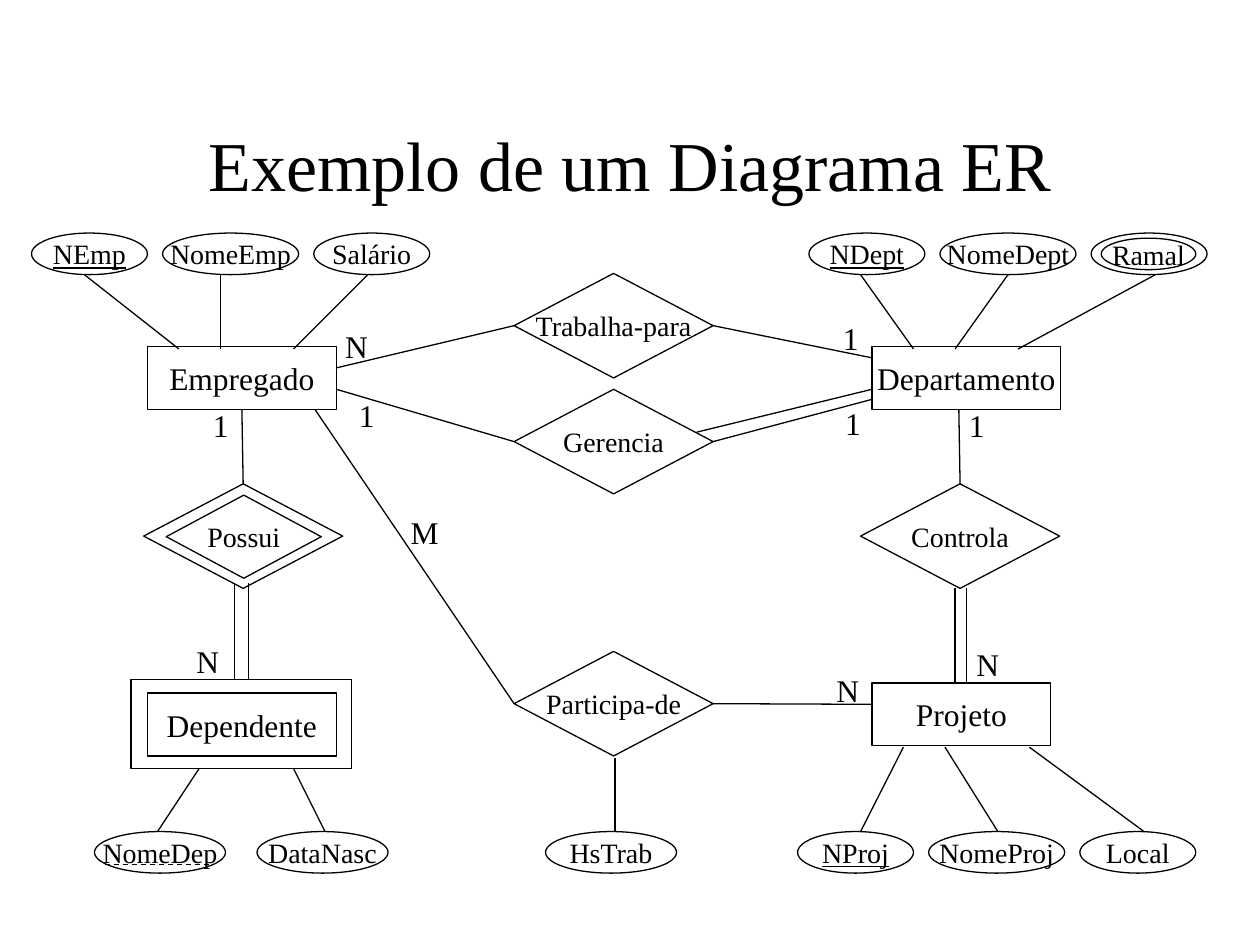
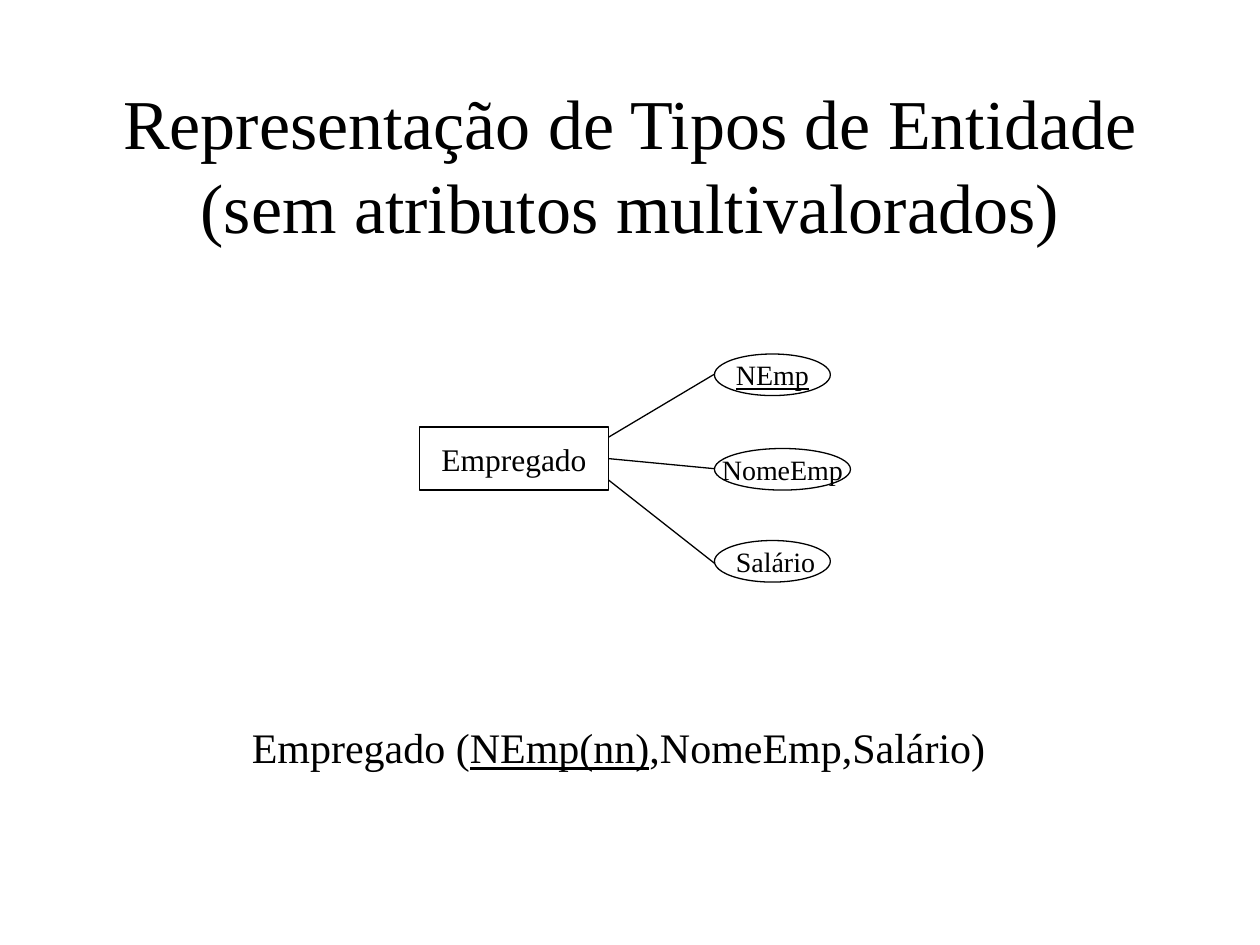
from dataclasses import dataclass

from lxml.etree import SubElement
from pptx import Presentation
from pptx.dml.color import RGBColor
from pptx.enum.dml import MSO_LINE
from pptx.enum.shapes import MSO_CONNECTOR, MSO_SHAPE
from pptx.enum.text import MSO_ANCHOR, MSO_AUTO_SIZE, PP_ALIGN
from pptx.oxml.ns import qn
from pptx.util import Inches, Pt


@dataclass(frozen=True)
class Theme:
    font: str = "Times New Roman"
    ink: RGBColor = RGBColor(0x00, 0x00, 0x00)
    paper: RGBColor = RGBColor(0xFF, 0xFF, 0xFF)
    title: int = 40
    formula: int = 24
    entity: int = 18
    detail: int = 16
    line: float = 0.75


THEME = Theme()
TITLE_BOX = (0.75, 0.67, 8.5, 1.25)
ENTITY_SIZE = (1.5, 0.5)
DIAMOND_SIZE = (1.58, 0.83)
OVAL_HEIGHT = 0.33
SHORT, MEDIUM, LONG = 0.92, 1.04, 1.08
TOP, LEFT, BOTTOM, RIGHT = range(4)

DIAGRAM_TITLE = "Exemplo de um Diagrama ER"
MAPPING_TITLE = "Representação de Tipos de Entidade (sem atributos multivalorados)"

WEAK_ENTITY_FRAME = (1.04, 5.39, 1.75, 0.71)
ENTITIES = [
    ("Empregado", 1.17, 2.75, 1.5),
    ("Projeto", 6.92, 5.42, 1.42),
    ("Dependente", 1.17, 5.5, 1.5),
    ("Departamento", 6.92, 2.75, 1.5),
]
RELATIONSHIPS = [
    ("Trabalha-para", 4.08, 2.17),
    ("Gerencia", 4.08, 3.09),
    ("Participa-de", 4.08, 5.17),
    ("Controla", 6.83, 3.84),
]
WEAK_RELATIONSHIP = ("Possui", 1.14, 3.84, (1.32, 3.93, 1.23, 0.66))

JOINED_LINKS = [
    ("Empregado", BOTTOM, "Possui", TOP),
    ("Trabalha-para", LEFT, (2.67, 2.92)),
    ("Gerencia", LEFT, (2.67, 3.09)),
    ("Trabalha-para", RIGHT, (6.92, 2.84)),
    ("Gerencia", RIGHT, (6.92, 3.17)),
    ("Controla", TOP, (7.61, 3.25)),
    ("Participa-de", LEFT, (2.5, 3.25)),
    ("Participa-de", RIGHT, (6.92, 5.59)),
]
FREE_LINKS = [
    ((1.86, 4.63), (1.86, 5.39)),
    ((1.97, 4.63), (1.97, 5.39)),
    ((5.53, 3.43), (6.92, 3.09)),
    ((7.58, 4.67), (7.58, 5.42)),
    ((7.67, 4.67), (7.67, 5.42)),
]
CARDINALITIES = [
    ("N", 2.64, 2.55), ("1", 6.59, 2.48), ("1", 2.75, 3.09), ("1", 6.61, 3.16),
    ("1", 1.59, 3.17), ("1", 7.59, 3.17), ("N", 1.46, 5.05), ("N", 7.65, 5.07),
    ("N", 6.54, 5.28), ("M", 3.16, 4.02),
]
CARDINALITY_WIDTHS = {"1": 0.32, "N": 0.38, "M": 0.42}

ABOVE = dict(top=1.85, line_y=2.18, owner_y=2.77)
BELOW = dict(top=6.6, line_y=6.6)
ATTRIBUTE_ROWS = [
    dict(ABOVE, left=0.25, gap=0.12, ovals=[
        ("NEmp", SHORT, 0.67, 1.42), ("NomeEmp", LONG, 1.75, 1.75), ("Salário", SHORT, 2.92, 2.33)]),
    dict(ABOVE, left=6.42, gap=0.12, ovals=[
        ("NDept", SHORT, 6.83, 7.25), ("NomeDept", LONG, 8, 7.58), ("Ramal", SHORT, 9.17, 8.08)]),
    dict(BELOW, left=0.75, gap=0.25, owner_y=6.1, ovals=[
        ("NomeDep", MEDIUM, 1.25, 1.58), ("DataNasc", MEDIUM, 2.58, 2.33)]),
    dict(BELOW, left=4.33, gap=0, owner_y=6.02, ovals=[("HsTrab", MEDIUM, 4.88, 4.88)]),
    dict(BELOW, left=6.33, gap=0.12, owner_y=5.93, ovals=[
        ("NProj", SHORT, 6.83, 7.17), ("NomeProj", LONG, 7.92, 7.5), ("Local", SHORT, 9.08, 8.17)]),
]
KEYS = {"NEmp", "NDept", "NProj"}
MULTIVALUED = "Ramal"
PARTIAL_KEY_LINE = ((0.83, 6.86), (1.67, 6.86))

MAPPED_ENTITY = ("Empregado", 3.33, 3.39)
MAPPED_LEFT = 5.67
MAPPED_ATTRIBUTES = [
    ("NEmp", 2.81, SHORT, 3.47, 2.97),
    ("NomeEmp", 3.56, LONG, 3.64, 3.72),
    ("", 4.29, SHORT, 3.81, 4.47),
]
MAPPED_LABEL = ("Salário", 5.74, 4.27, 0.83, 0.37)
FORMULA_BOX = (1.9, 5.68, 6.02, 0.5)
FORMULA = [("Empregado (", False), ("NEmp(nn)", True), (",NomeEmp,Salário)", False)]


def inches(values):
    return [Inches(value) for value in values]


def write(text_frame, runs, size, alignment):
    paragraph = text_frame.paragraphs[0]
    paragraph.alignment = alignment
    for text, underlined in runs:
        run = paragraph.add_run()
        run.text = text
        run.font.name = THEME.font
        run.font.size = Pt(size)
        run.font.color.rgb = THEME.ink
        run.font.underline = underlined


def add_node(shapes, preset, box, text="", size=THEME.detail):
    shape = shapes.add_shape(preset, *inches(box))
    shape.shadow.inherit = False
    shape.fill.solid()
    shape.fill.fore_color.rgb = THEME.paper
    shape.line.color.rgb = THEME.ink
    shape.line.width = Pt(THEME.line)
    if text:
        shape.text_frame.word_wrap = False
        shape.text_frame.vertical_anchor = MSO_ANCHOR.MIDDLE
        write(shape.text_frame, [(text, text in KEYS)], size, PP_ALIGN.CENTER)
    return shape


def add_entity(shapes, text, left, top, width=ENTITY_SIZE[0]):
    box = (left, top, width, ENTITY_SIZE[1])
    return add_node(shapes, MSO_SHAPE.RECTANGLE, box, text, THEME.entity)


def add_diamond(shapes, box, text=""):
    return add_node(shapes, MSO_SHAPE.FLOWCHART_DECISION, box, text)


def add_oval(shapes, box, text=""):
    return add_node(shapes, MSO_SHAPE.OVAL, box, text)


def add_line(shapes, start, end):
    connector = shapes.add_connector(MSO_CONNECTOR.STRAIGHT, *inches((*start, *end)))
    connector.line.color.rgb = THEME.ink
    connector.line.width = Pt(THEME.line)
    SubElement(connector._element.spPr, qn("a:effectLst"))
    return connector


def add_label(shapes, box, runs, size, alignment=PP_ALIGN.LEFT):
    text_frame = shapes.add_textbox(*inches(box)).text_frame
    text_frame.word_wrap = False
    text_frame.auto_size = MSO_AUTO_SIZE.SHAPE_TO_FIT_TEXT
    write(text_frame, runs, size, alignment)


def add_titled_slide(presentation, text):
    slide = presentation.slides.add_slide(presentation.slide_layouts[5])
    title = slide.shapes.title
    title.left, title.top, title.width, title.height = inches(TITLE_BOX)
    title.text_frame.auto_size = MSO_AUTO_SIZE.NONE
    title.text_frame.vertical_anchor = MSO_ANCHOR.MIDDLE
    write(title.text_frame, [(text, False)], THEME.title, PP_ALIGN.CENTER)
    return slide


def add_attribute_row(shapes, row):
    left = row["left"]
    for name, width, line_x, owner_x in row["ovals"]:
        box = (left, row["top"], width, OVAL_HEIGHT)
        if name == MULTIVALUED:
            add_oval(shapes, box)
            box = (left + 0.08, row["top"] + 0.04, width - 0.17, OVAL_HEIGHT - 0.08)
        add_oval(shapes, box, name)
        add_line(shapes, (line_x, row["line_y"]), (owner_x, row["owner_y"]))
        left += width + row["gap"]


def build_diagram(presentation):
    shapes = add_titled_slide(presentation, DIAGRAM_TITLE).shapes
    add_node(shapes, MSO_SHAPE.RECTANGLE, WEAK_ENTITY_FRAME)
    nodes = {entity[0]: add_entity(shapes, *entity) for entity in ENTITIES}
    for name, left, top in RELATIONSHIPS:
        nodes[name] = add_diamond(shapes, (left, top, *DIAMOND_SIZE), name)
    name, left, top, inner_box = WEAK_RELATIONSHIP
    nodes[name] = add_diamond(shapes, (left, top, *DIAMOND_SIZE))
    add_diamond(shapes, inner_box, name)

    for source, side, target, *target_side in JOINED_LINKS:
        end = (0, 0) if target_side else target
        connector = add_line(shapes, (0, 0), end)
        connector.begin_connect(nodes[source], side)
        if target_side:
            connector.end_connect(nodes[target], target_side[0])
    for start, end in FREE_LINKS:
        add_line(shapes, start, end)
    for text, left, top in CARDINALITIES:
        box = (left, top, CARDINALITY_WIDTHS[text], 0.4)
        add_label(shapes, box, [(text, False)], THEME.entity)
    for row in ATTRIBUTE_ROWS:
        add_attribute_row(shapes, row)
    add_line(shapes, *PARTIAL_KEY_LINE).line.dash_style = MSO_LINE.DASH


def build_mapping(presentation):
    slide = add_titled_slide(presentation, MAPPING_TITLE)
    shapes = slide.shapes.add_group_shape().shapes
    name, left, top = MAPPED_ENTITY
    add_entity(shapes, name, left, top)
    for text, top, width, entity_y, oval_y in MAPPED_ATTRIBUTES:
        add_oval(shapes, (MAPPED_LEFT, top, width, OVAL_HEIGHT), text)
        add_line(shapes, (left + ENTITY_SIZE[0], entity_y), (MAPPED_LEFT, oval_y))
    label, *label_box = MAPPED_LABEL
    add_label(shapes, label_box, [(label, False)], THEME.detail, PP_ALIGN.CENTER)
    add_label(shapes, FORMULA_BOX, FORMULA, THEME.formula)


def main():
    presentation = Presentation()
    presentation.slide_width, presentation.slide_height = inches((10, 7.5))
    build_diagram(presentation)
    build_mapping(presentation)
    presentation.save("out.pptx")


if __name__ == "__main__":
    main()
